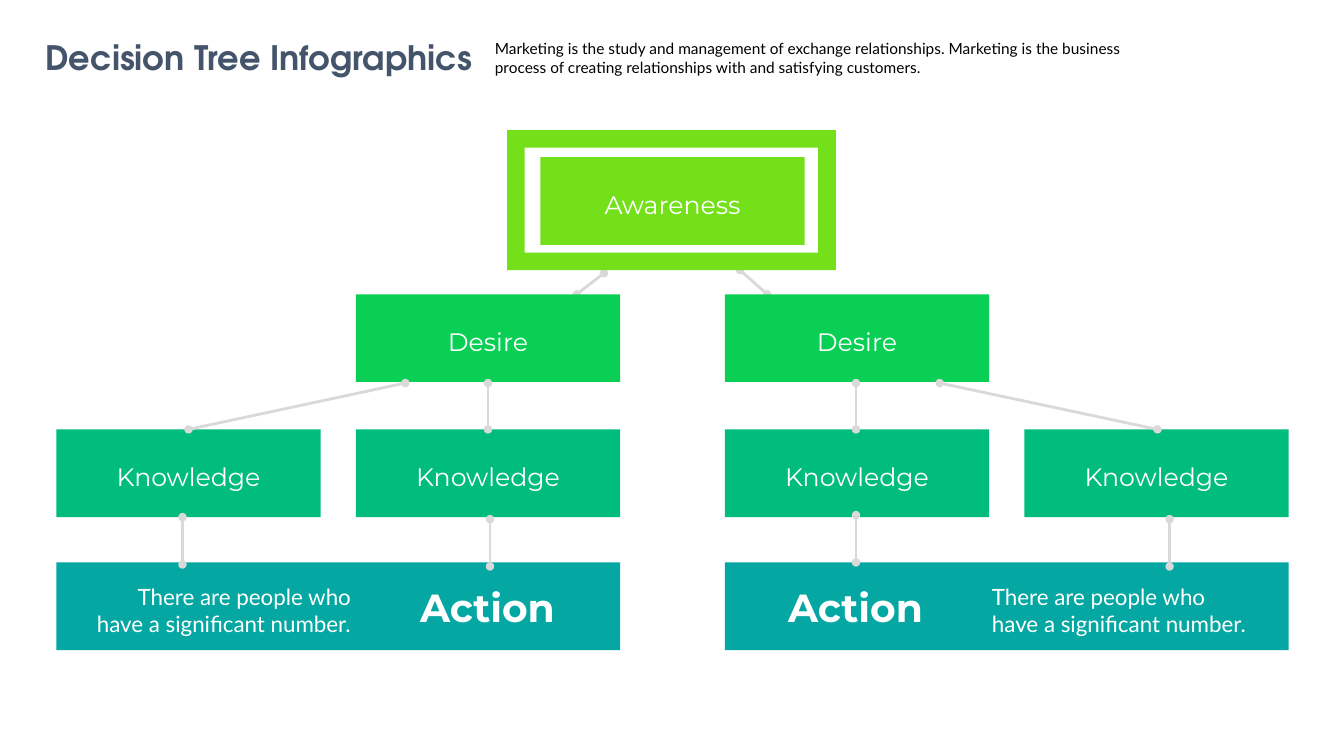
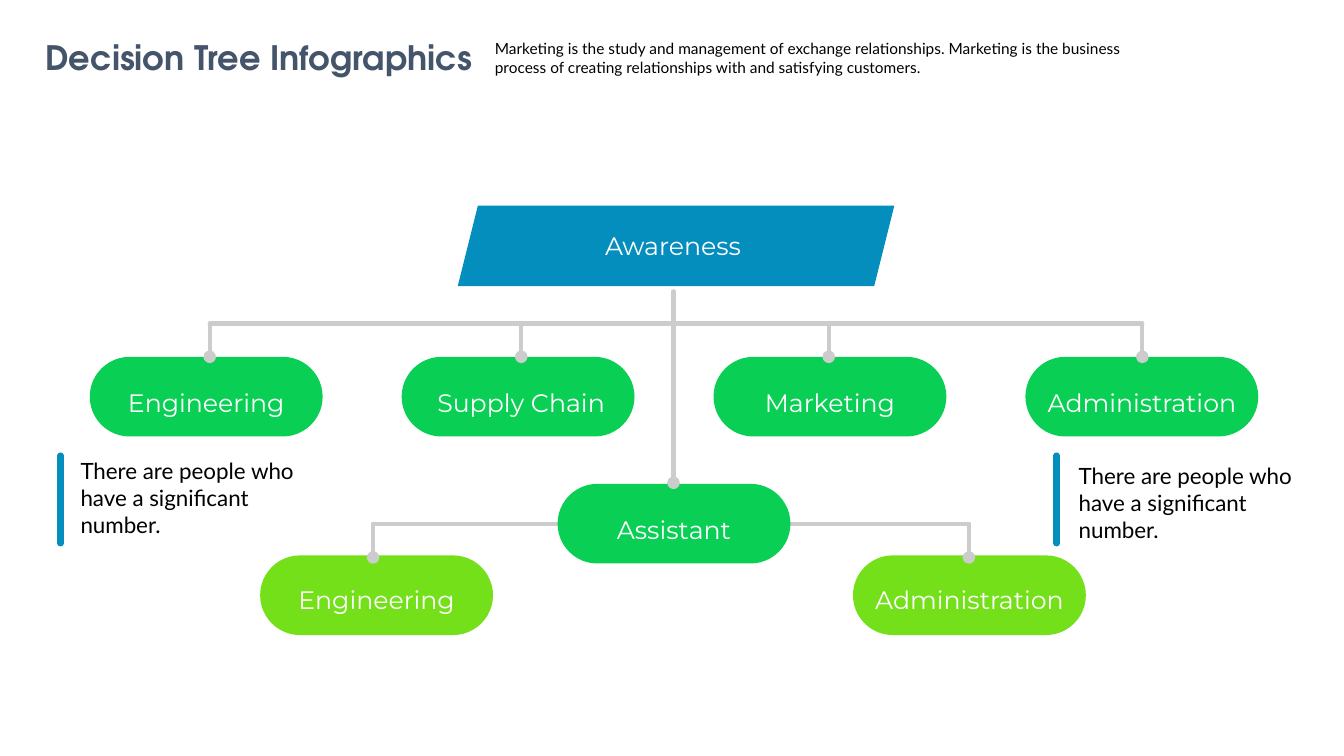
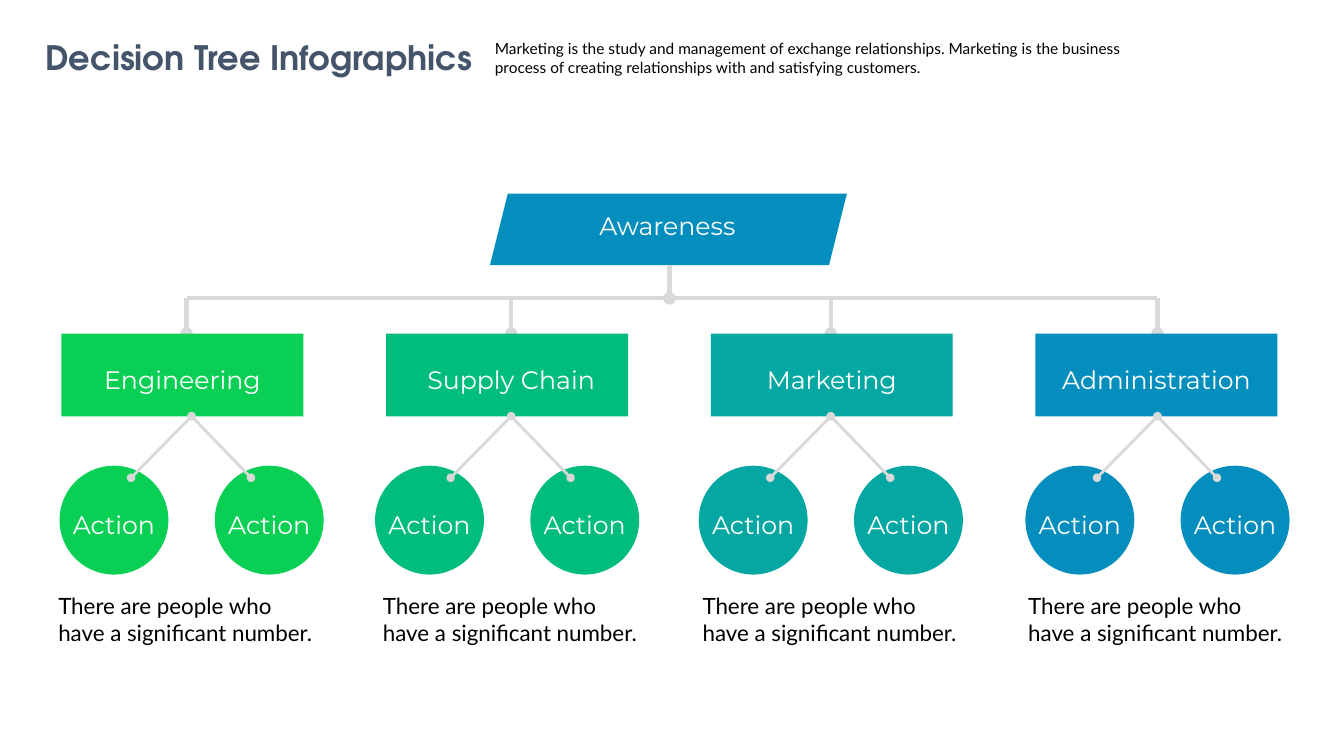
from lxml.etree import SubElement
from pptx import Presentation
from pptx.dml.color import RGBColor
from pptx.enum.shapes import MSO_CONNECTOR, MSO_SHAPE
from pptx.enum.text import MSO_AUTO_SIZE, PP_ALIGN
from pptx.oxml.ns import qn
from pptx.util import Pt

PX = 9144
LIME, GREEN, JADE, TEAL, BLUE = "73E019", "09D054", "00BD7D", "04A7A2", "048EBD"
WHITE, BLACK, SLATE = "FFFFFF", "000000", "44546A"
LIGHT, GREY = "D9D9D9", "CCCCCC"
HEAD_FONT, LABEL_FONT, BODY_FONT = "TeX Gyre Adventor", "Montserrat", "Lato"
TITLE = "Decision Tree Infographics"
INTRO = ("Marketing is the study and management of exchange relationships. "
         "Marketing is the business process of creating relationships with "
         "and satisfying customers.")
NOTE = "There are people who have a significant number."
TEAMS = ["Engineering", "Supply Chain", "Marketing", "Administration"]


def emu(*lengths):
    return [round(v * PX) for v in lengths]


def rgb(color):
    return RGBColor.from_string(color)


def add_text(s, box, text, size=18, font=LABEL_FONT, color=WHITE, bold=False,
             align=PP_ALIGN.CENTER, wrap=True):
    tf = s.shapes.add_textbox(*emu(*box)).text_frame
    tf.word_wrap = wrap
    tf.auto_size = MSO_AUTO_SIZE.SHAPE_TO_FIT_TEXT
    p = tf.paragraphs[0]
    p.alignment = align
    r = p.add_run()
    r.text = text
    r.font.size = Pt(size)
    r.font.name = font
    r.font.bold = bold
    r.font.color.rgb = rgb(color)


def add_note(s, x, y, w, h, color=BLACK, align=PP_ALIGN.LEFT):
    add_text(s, (x, y, w, h), NOTE, size=16, font=BODY_FONT, color=color, align=align)


def add_block(s, box, fill, kind=MSO_SHAPE.RECTANGLE, adj=None):
    sp = s.shapes.add_shape(kind, *emu(*box))
    sp.shadow.inherit = False
    sp.fill.solid()
    sp.fill.fore_color.rgb = rgb(fill)
    sp.line.fill.background()
    if adj is not None:
        sp.adjustments[0] = adj


def add_node(s, box, fill, text, pad=0, dx=0, dy=25, **shape):
    x, y, w, h = box
    add_block(s, box, fill, **shape)
    add_text(s, (x + pad + dx, y + dy, w - 2 * pad, 40), text)


def add_line(s, x1, y1, x2, y2, color=LIGHT, width=2, head=True, tail=False, cap="flat"):
    cn = s.shapes.add_connector(MSO_CONNECTOR.STRAIGHT, *emu(x1, y1, x2, y2))
    cn.line.color.rgb = rgb(color)
    cn.line.width = Pt(width)
    sp_pr = cn._element.spPr
    ln = sp_pr.find(qn("a:ln"))
    ln.set("cap", cap)
    for tag, shown in (("a:headEnd", head), ("a:tailEnd", tail)):
        if shown:
            SubElement(ln, qn(tag), type="oval")
    SubElement(sp_pr, qn("a:effectLst"))


def new_slide(prs):
    s = prs.slides.add_slide(prs.slide_layouts[6])
    add_text(s, (32, 32, 449, 50), TITLE, size=24, font=HEAD_FONT, color=SLATE,
             bold=True, wrap=False)
    add_text(s, (481, 34, 660, 47), INTRO, size=11, font=BODY_FONT, color=BLACK,
             align=PP_ALIGN.LEFT)
    return s


def funnel_slide(prs):
    s = new_slide(prs)
    columns = [56, 353, 719, 1016]
    rows = [(156, LIME, "Awareness", [536]),
            (292, GREEN, "Desire", columns[1:3]),
            (426, JADE, "Knowledge", columns)]
    for ends in ((599, 271, 572, 292), (734, 268, 761, 292)):
        add_line(s, *ends, tail=True)
    for y, fill, text, xs in rows:
        for x in xs:
            add_node(s, (x, y, 262, 87), fill, text, pad=37, dy=27)
    add_block(s, (503, 129, 326, 139), LIME, kind=MSO_SHAPE.FRAME)

    for bar_x, action_x, note_x, align in ((56, 390, 86, PP_ALIGN.RIGHT),
                                           (719, 755, 974, PP_ALIGN.LEFT)):
        add_block(s, (bar_x, 558, 559, 87), TEAL)
        add_text(s, (action_x, 574, 187, 57), "Action", size=28, bold=True)
        add_note(s, note_x, 574, 272, 64, color=WHITE, align=align)

    for top, bottom in ((402, 187), (484, 484), (849, 849), (932, 1148)):
        add_line(s, top, 380, bottom, 426, tail=True)
    for x, y in ((181, 513), (486, 515), (849, 511), (1160, 515)):
        add_line(s, x, y, x, y + 47, tail=True)


def team_slide(prs):
    s = new_slide(prs)
    link = dict(color=GREY, width=3, cap="rnd")
    pill = dict(kind=MSO_SHAPE.ROUNDED_RECTANGLE, adj=0.5)
    add_node(s, (454, 204, 433, 80), BLUE, "Awareness", pad=67, dx=-3, dy=20,
             kind=MSO_SHAPE.PARALLELOGRAM)
    add_line(s, 370, 520, 961, 520, head=False, **link)
    for i, team in enumerate(TEAMS):
        add_node(s, (89 + i * 928 / 3, 354, 231, 79), GREEN, team,
                 dx=3 if i == 1 else 0, **pill)
    add_node(s, (553, 480, 231, 79), GREEN, "Assistant", pad=5, **pill)
    for x, team in ((258, TEAMS[0]), (846, TEAMS[3])):
        add_node(s, (x, 551, 231, 79), LIME, team, dy=24, **pill)

    add_line(s, 208, 321, 1133, 321, head=False, **link)
    add_line(s, 668, 479, 668, 289, **link)
    for x, y in ((208, 354), (517, 354), (822, 354), (1133, 354), (370, 553), (961, 553)):
        add_line(s, x, y, x, y - 33, **link)
    for bar_x, note_x, note_y in ((60, 70, 449), (1048, 1060, 454)):
        add_line(s, bar_x, 452, bar_x, 539, color=BLUE, width=4.5, head=False, cap="rnd")
        add_note(s, note_x, note_y, 261, 91)


def action_slide(prs):
    s = new_slide(prs)
    add_node(s, (486, 192, 354, 71), BLUE, "Awareness", pad=22, dx=-1, dy=12,
             kind=MSO_SHAPE.PARALLELOGRAM)
    add_line(s, 185, 296, 1148, 296, width=3, head=False)
    add_line(s, 664, 296, 664, 263, width=3)
    fills = [GREEN, JADE, TEAL, BLUE]
    stems = [185, 507, 824, 1148]
    forks = [190, 507, 824, 1148]
    circles = [59, 372, 693, 1017]
    notes = [48, 370, 687, 1010]
    branches = zip(TEAMS, fills, stems, forks, circles, notes)
    for i, (team, fill, stem, fork, circle, note) in enumerate(branches):
        add_line(s, stem, 331, stem, 296, width=3)
        add_node(s, (61 + 322 * i, 331, 240, 82), fill, team, dx=4 if i == 1 else 0, dy=26)
        for x in (circle, circle + 154):
            add_node(s, (x, 462, 108, 108), fill, "Action", pad=-6, dy=38,
                     kind=MSO_SHAPE.OVAL)
        for side in (-60, 59):
            add_line(s, fork, 413, fork + side, 474, tail=True)
        add_note(s, note, 583, 274, 64)


def main():
    prs = Presentation()
    prs.slide_width, prs.slide_height = emu(1333, 750)
    funnel_slide(prs)
    team_slide(prs)
    action_slide(prs)
    prs.save("out.pptx")


if __name__ == "__main__":
    main()
